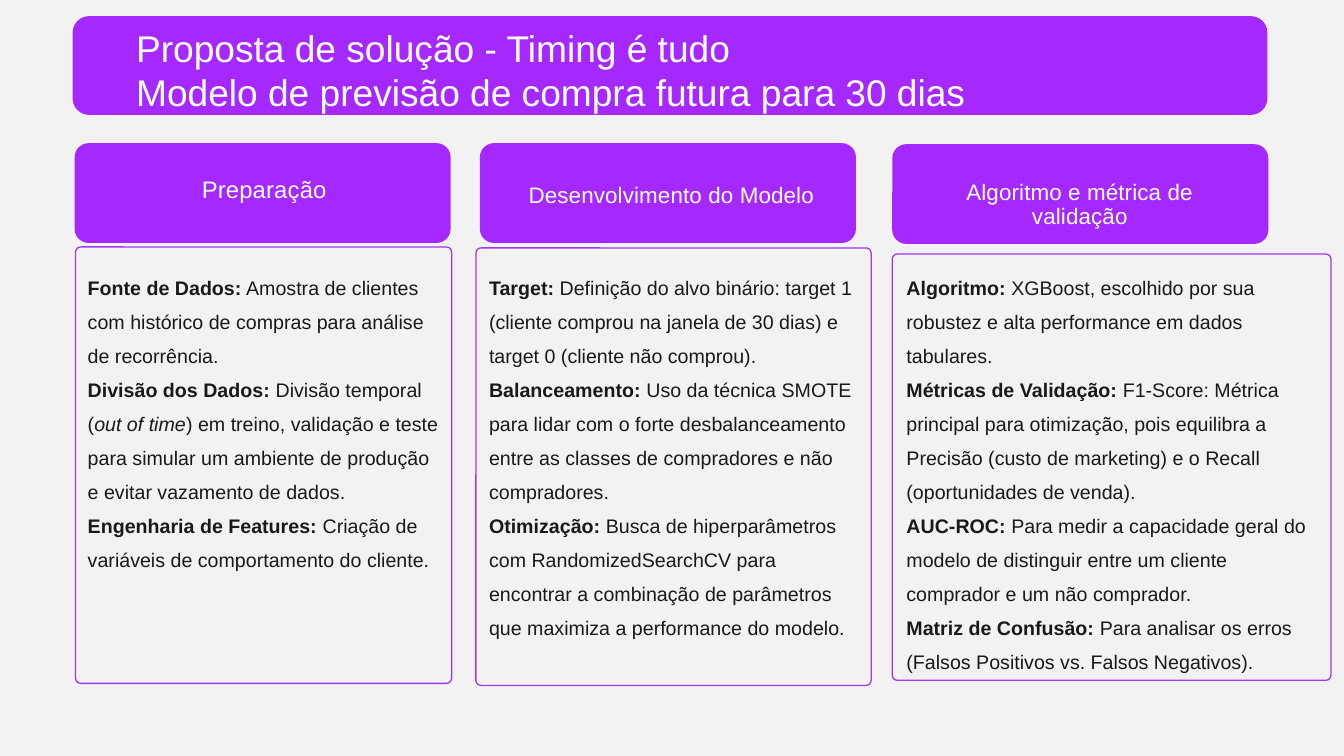
from dataclasses import dataclass

from pptx import Presentation
from pptx.dml.color import RGBColor
from pptx.enum.shapes import MSO_SHAPE
from pptx.enum.text import MSO_ANCHOR, PP_ALIGN
from pptx.util import Inches, Pt


@dataclass(frozen=True)
class Theme:
    font: str = "Arial"
    background: RGBColor = RGBColor(0xF2, 0xF2, 0xF2)
    banner: RGBColor = RGBColor(0xA5, 0x28, 0xFF)
    frame: RGBColor = RGBColor(0xA0, 0x38, 0xF2)
    light: RGBColor = RGBColor(0xFF, 0xFF, 0xFF)
    ink: RGBColor = RGBColor(0x19, 0x19, 0x19)
    title_size: float = 26.5
    body_size: float = 14
    heading_leading: float = 17.3
    body_leading: float = 24.3
    heading_tracking: float = 0.1


THEME = Theme()

TITLE_LINES = [
    "Proposta de solução - Timing é tudo",
    "Modelo de previsão de compra futura para 30 dias",
]


@dataclass(frozen=True)
class Column:
    """A heading, its size and places, and the (text, style) runs of each paragraph."""
    heading: str
    heading_size: float
    tab: tuple
    heading_box: tuple
    frame: tuple
    body_box: tuple
    paragraphs: list


COLUMNS = [
    Column(
        "Preparação", 17,
        (0.74, 1.42, 3.73, 0.99), (1.13, 1.78, 2.98, 0.24),
        (0.75, 2.45, 3.73, 4.33), (0.87, 2.63, 3.52, 2.96),
        [
            [("Fonte de Dados:", "b"),
             (" Amostra de clientes com histórico de compras para análise de recorrência.", "")],
            [("Divisão dos Dados:", "b"), (" Divisão temporal (", ""), ("out of time", "i"),
             (") em treino, validação e teste para simular um ambiente de produção "
              "e evitar vazamento de dados.", "")],
            [("Engenharia de Features:", "b"),
             (" Criação de variáveis de comportamento do cliente.", "")],
        ],
    ),
    Column(
        "Desenvolvimento do Modelo", 16,
        (4.76, 1.42, 3.73, 0.99), (5.17, 1.82, 2.98, 0.24),
        (4.72, 2.46, 3.92, 4.34), (4.85, 2.63, 3.71, 3.66),
        [
            [("Target:", "b"),
             (" Definição do alvo binário: target 1 (cliente comprou na janela de 30 dias) "
              "e target 0 (cliente não comprou).", "")],
            [("Balanceamento:", "b"),
             (" Uso da técnica SMOTE para lidar com o forte desbalanceamento "
              "entre as classes de compradores e não compradores.", "")],
            [("Otimização:", "b"),
             (" Busca de hiperparâmetros com RandomizedSearchCV para encontrar a combinação "
              "de parâmetros que maximiza a performance do modelo.", "")],
        ],
    ),
    Column(
        "Algoritmo e métrica de validação", 16,
        (8.85, 1.43, 3.73, 0.99), (9.22, 1.79, 2.98, 0.48),
        (8.85, 2.52, 4.35, 4.23), (8.99, 2.63, 4.15, 4.0),
        [
            [("Algoritmo: ", "b"),
             ("XGBoost, escolhido por sua robustez e alta performance em dados tabulares.", "")],
            [("Métricas de Validação: ", "b"),
             ("F1-Score: Métrica principal para otimização, pois equilibra a Precisão "
              "(custo de marketing) e o Recall (oportunidades de venda).", "")],
            [("AUC-ROC:", "b"),
             (" Para medir a capacidade geral do modelo de distinguir entre "
              "um cliente comprador e um não comprador.", "")],
            [("Matriz de Confusão: ", "b"),
             ("Para analisar os erros (Falsos Positivos vs. Falsos Negativos).", "")],
        ],
    ),
]


def add_panel(slide, box, preset, fill=None, line=None, radius=None):
    """Add a filled or outlined panel; radius is the corner radius in inches."""
    panel = slide.shapes.add_shape(preset, *map(Inches, box))
    panel.shadow.inherit = False
    if radius is not None:
        panel.adjustments[0] = radius / min(box[2:])
    if fill is None:
        panel.fill.background()
    else:
        panel.fill.solid()
        panel.fill.fore_color.rgb = fill
    if line is None:
        panel.line.fill.background()
    else:
        panel.line.color.rgb = line
        panel.line.width = Pt(0.9)


def add_text(slide, box, paragraphs, size, color, align=PP_ALIGN.LEFT, leading=None,
             margins=(0, 0), anchor=MSO_ANCHOR.TOP, tracking=None):
    """Add paragraphs of (text, style) runs; style holds b for bold, i for italic."""
    frame = slide.shapes.add_textbox(*map(Inches, box)).text_frame
    frame.word_wrap = True
    frame.vertical_anchor = anchor
    frame.margin_left = frame.margin_right = Inches(margins[0])
    frame.margin_top = frame.margin_bottom = Inches(margins[1])
    for index, runs in enumerate(paragraphs):
        paragraph = frame.add_paragraph() if index else frame.paragraphs[0]
        paragraph.alignment = align
        if leading:
            paragraph.line_spacing = Pt(leading)
        for text, style in runs:
            run = paragraph.add_run()
            run.text = text
            run.font.name = THEME.font
            run.font.size = Pt(size)
            run.font.color.rgb = color
            run.font.bold = "b" in style
            run.font.italic = "i" in style
            if tracking:
                run.font._element.set("spc", str(round(tracking * 100)))


def add_column(slide, column):
    add_panel(slide, column.tab, MSO_SHAPE.ROUNDED_RECTANGLE, fill=THEME.banner, radius=0.14)
    add_text(slide, column.heading_box, [[(column.heading, "")]], column.heading_size,
             THEME.light, PP_ALIGN.CENTER, THEME.heading_leading,
             tracking=THEME.heading_tracking)
    add_panel(slide, column.frame, MSO_SHAPE.ROUNDED_RECTANGLE, line=THEME.frame, radius=0.05)
    add_text(slide, column.body_box, column.paragraphs, THEME.body_size, THEME.ink,
             leading=THEME.body_leading)


def add_title(slide):
    add_panel(slide, (0.72, 0.16, 11.85, 0.98), MSO_SHAPE.FLOWCHART_ALTERNATE_PROCESS,
              fill=THEME.banner)
    add_text(slide, (1.28, 0.2, 11.75, 0.98), [[(line, "")] for line in TITLE_LINES],
             THEME.title_size, THEME.light, margins=(0.07, 0.03), anchor=MSO_ANCHOR.MIDDLE)


def main():
    deck = Presentation()
    deck.slide_width, deck.slide_height = Inches(13.33), Inches(7.5)
    slide = deck.slides.add_slide(deck.slide_layouts[6])
    slide.background.fill.solid()
    slide.background.fill.fore_color.rgb = THEME.background
    for column in COLUMNS:
        add_column(slide, column)
    add_title(slide)
    deck.save("out.pptx")


if __name__ == "__main__":
    main()
